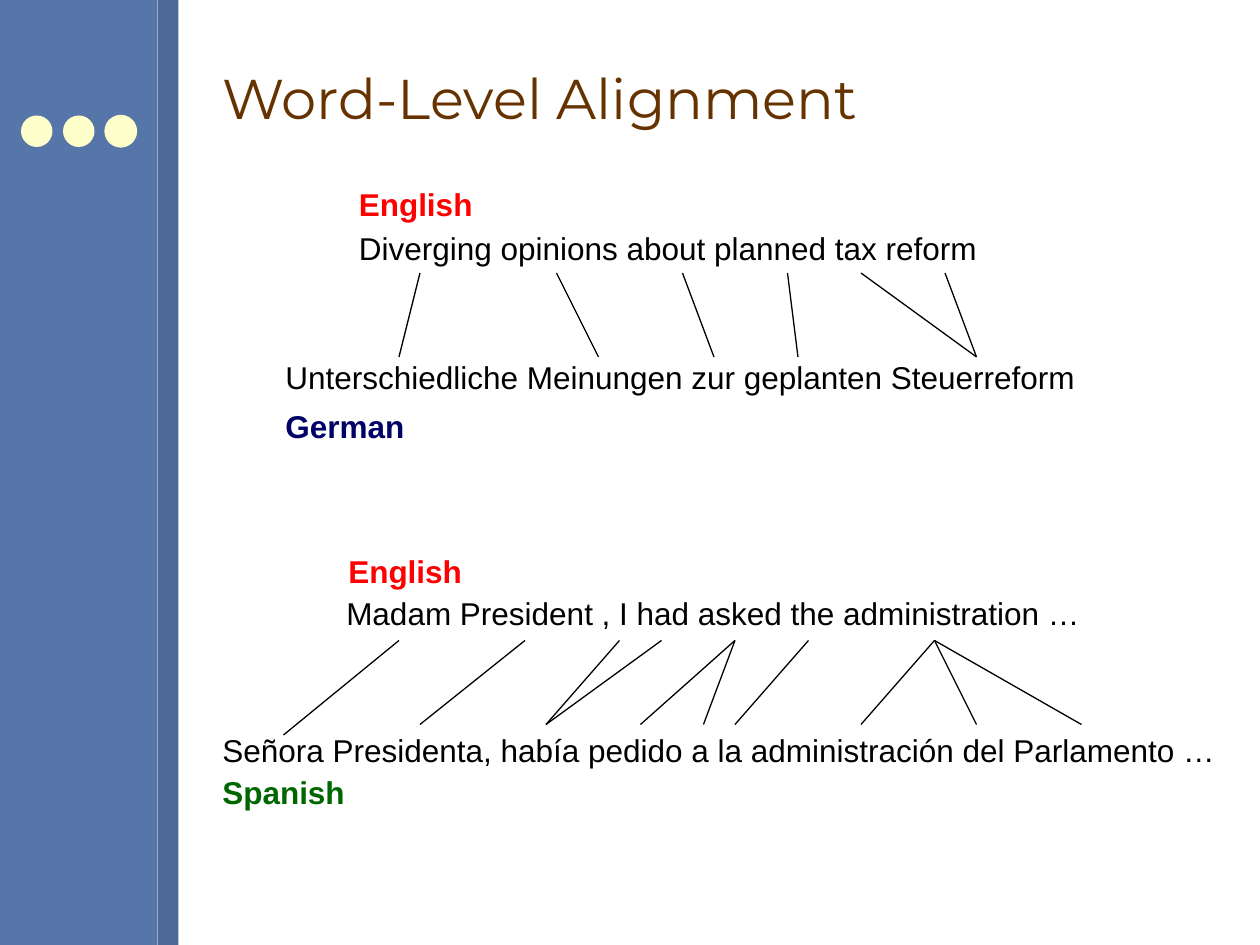
"""Build a slide of word-level alignments between sentence pairs."""
import pptx
import pptx.util
import pptx.dml.color
import pptx.enum.shapes
import pptx.enum.text
import pptx.oxml

RGB = pptx.dml.color.RGBColor
KIND = pptx.enum.shapes.MSO_SHAPE
FIT = pptx.enum.text.MSO_AUTO_SIZE
BLUE = RGB(0x56, 0x75, 0xA9)
DUSK = RGB(0x4D, 0x69, 0x97)
CREAM = RGB(0xFF, 0xFF, 0xCC)
BROWN = RGB(0x66, 0x33, 0x00)
BLACK = RGB(0, 0, 0)
RED = RGB(0xFF, 0, 0)
NAVY = RGB(0, 0, 0x66)
GREEN = RGB(0, 0x66, 0)

WIDE, HIGH = pptx.util.Inches(10), pptx.util.Inches(7.5)
COLS, ROWS = 120, 90
BODY = {"name": "Arial", "size": pptx.util.Pt(18)}
HEAD = {"name": "Montserrat", "size": pptx.util.Pt(32)}

TEXTS = [
    (33, 17, 13.4, "English", RED, True),
    (33, 21.2, 67, "Diverging opinions about planned tax reform", BLACK, False),
    (26, 33.5, 84, "Unterschiedliche Meinungen zur geplanten Steuerreform", BLACK, False),
    (26, 38.16, 13.9, "German", NAVY, True),
    (32, 52, 13.4, "English", RED, True),
    (31.8, 56, 72.6, "Madam President , I had asked the administration …", BLACK, False),
    (20, 69, 97.2, "Señora Presidenta, había pedido a la administración del Parlamento …", BLACK, False),
    (20, 73, 14.4, "Spanish", GREEN, True),
]
GERMAN = [(40, 38), (53, 57), (65, 68), (75, 76), (82, 93), (90, 93)]
SPANISH = [(50, 40), (59, 52), (63, 52), (70, 61), (70, 67),
           (77, 70), (89, 82), (89, 93), (89, 103)]


def grid(col, row):
    """Turn grid columns and rows into slide lengths."""
    return round(WIDE * col / COLS), round(HIGH * row / ROWS)


def shape(slide, kind, at, size, fill):
    """Add a plain filled shape."""
    item = slide.shapes.add_shape(kind, *grid(*at), *grid(*size))
    item.shadow.inherit = False
    item.fill.solid()
    item.fill.fore_color.rgb = fill
    item.line.fill.background()
    return item


def trace(line, color):
    """Give a line its colour and thin width."""
    line.color.rgb = color
    line.width = pptx.util.Pt(0.75)


def text(slide, at, size, words, color, style, anchor="TOP", fit=FIT.SHAPE_TO_FIT_TEXT):
    """Add one line of text in a given style."""
    frame = slide.shapes.add_textbox(*grid(*at), *grid(*size)).text_frame
    frame.word_wrap = False
    frame.auto_size = fit
    frame.vertical_anchor = getattr(pptx.enum.text.MSO_ANCHOR, anchor)
    run = frame.paragraphs[0].add_run()
    run.text = words
    for key, value in style.items():
        setattr(run.font, key, value)
    run.font.color.rgb = color


def link(slide, start, end):
    """Join two aligned words with a thin line."""
    kind = pptx.enum.shapes.MSO_CONNECTOR.STRAIGHT
    item = slide.shapes.add_connector(kind, *grid(*start), *grid(*end))
    trace(item.line, BLACK)
    item._element.spPr.append(pptx.oxml.parse_xml(
        '<a:effectLst xmlns:a="http://schemas.openxmlformats.org/drawingml/2006/main"/>'))


def main():
    """Draw the side band, the title and both aligned pairs."""
    deck = pptx.Presentation()
    deck.slide_width, deck.slide_height = WIDE, HIGH
    slide = deck.slides.add_slide(deck.slide_layouts[6])
    shape(slide, KIND.RECTANGLE, (0, 0), (15, ROWS), BLUE)
    shape(slide, KIND.RECTANGLE, (15, 0), (2, ROWS), DUSK)
    for col in (2, 6, 10):
        dot = shape(slide, KIND.OVAL, (col, 11), (3, 3), CREAM)
    trace(dot.line, CREAM)
    text(slide, (20, 2.5), (96, 13.5), "Word-Level Alignment", BROWN, HEAD, "MIDDLE", FIT.NONE)
    for col, row, width, words, color, bold in TEXTS:
        text(slide, (col, row), (width, 4.8), words, color, {**BODY, "bold": bold})
    for pairs, top, base in ((GERMAN, 26, 34), (SPANISH, 61, 69)):
        for start, end in pairs:
            link(slide, (start, top), (end, base))
    link(slide, (38, 61), (27, 70))
    deck.save("out.pptx")


if __name__ == "__main__":
    main()
